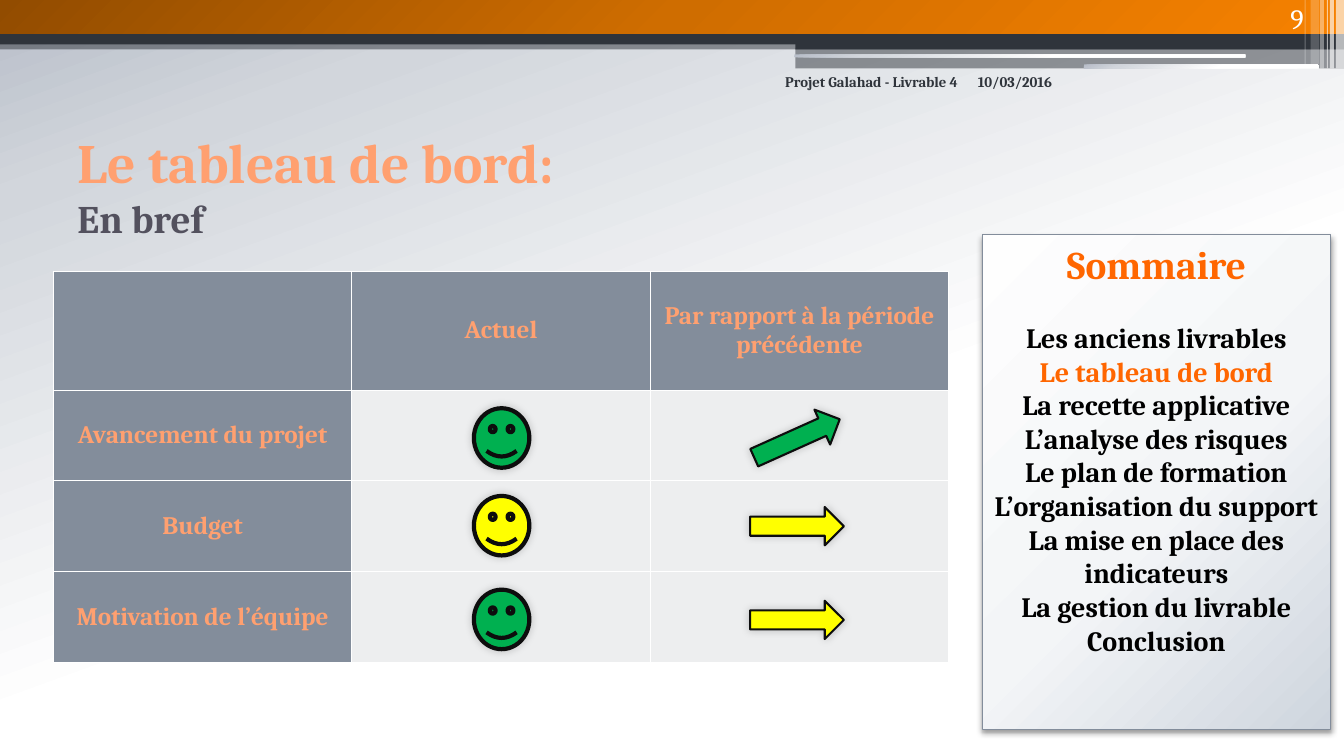
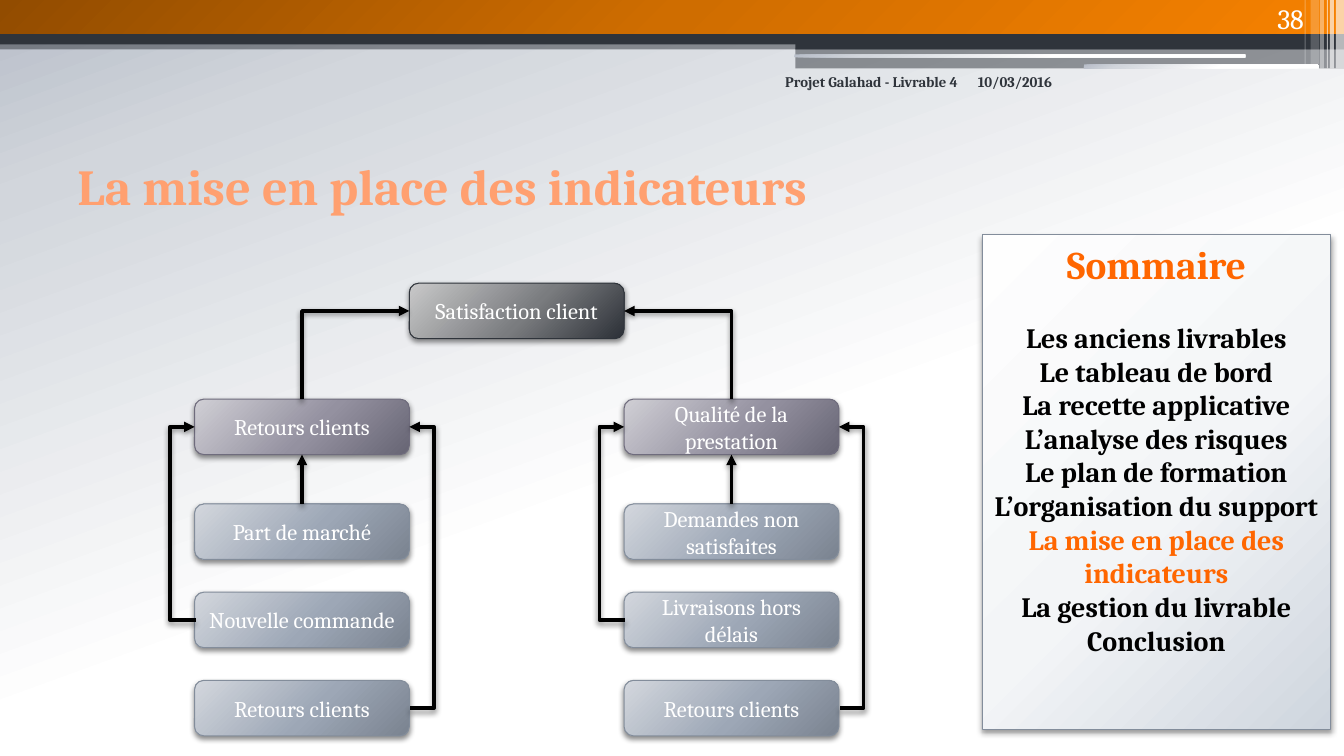
from pptx import Presentation
from pptx.dml.color import RGBColor
from pptx.enum.shapes import MSO_CONNECTOR, MSO_SHAPE
from pptx.enum.text import MSO_ANCHOR, PP_ALIGN
from pptx.oxml import parse_xml
from pptx.oxml.ns import nsdecls, qn
from pptx.util import Inches, Pt

FONT = "Cambria"
HEX = {
    "dark": "2F343B", "white": "FFFFFF", "black": "000000", "ink": "0D0D0D",
    "coral": "FFA070", "orange": "FF6600", "plum": "53515E",
    "slate": "838D9B", "mauve": "6F6C7D", "pale": "EDEEEF",
    "green": "00B050", "yellow": "FFFF00",
}
# Each gradient: stops as (percent, colour), then an angle or None for radial
GRADS = {
    "mist": ([(0, "B7BDC8"), (16, "D2D6DC"), (58, "FFFFFF")], 70),
    "amber": ([(0, "924C00"), (50, "CF6D00"), (100, "F68100")], 45),
    "panel": ([(0, "FEFEFE"), (55, "F3F5F7"), (100, "CED5DE")], None),
    "dark": ([(0, "C9C9CA"), (55, "7A7C7F"), (100, "2C3037")], None),
    "mauve": ([(0, "D0CFD5"), (55, "9491A0"), (100, "676574")], None),
    "slate": ([(0, "D3D7DD"), (55, "9DA7B6"), (100, "7A8390")], None),
}
# Each shadow: opacity, blur, distance, direction
SOFT, DEEP, GLOW = (40, 4.1, 2, 90), (45, 4, 2, 90), (20, 6, 0, 315)

# Each band: left, top, width, height, colour, opacity
BANDS = [
    (0, 0.4, 13.33, 0.09, "dark", 50),
    (0, 0.34, 13.33, 0.1, "dark", 100),
    (7.89, 0.39, 5.44, 0.1, "dark", 100),
    (7.89, 0.48, 5.44, 0.2, "dark", 50),
    (13.25, 0, 0.08, 0.68, "white", 65),
    (13.19, 0, 0.04, 0.68, "white", 65),
    (13.16, 0, 0.01, 0.68, "white", 60),
    (13.09, 0, 0.04, 0.68, "white", 40),
    (13, 0, 0.08, 0.64, "white", 20),
    (12.94, 0, 0.01, 0.64, "white", 30),
]
SHEEN = [
    (0, 0, 13.33, 0.34, MSO_SHAPE.RECTANGLE, "amber"),
    (7.88, 0.54, 4.47, 0.03, MSO_SHAPE.ROUNDED_RECTANGLE, "mist"),
    (10.75, 0.64, 2.33, 0.04, MSO_SHAPE.ROUNDED_RECTANGLE, "mist"),
]

PROJECT, DATE = "Projet Galahad - Livrable 4", "10/03/2016"
TOPICS = [
    "Les anciens livrables", "Le tableau de bord", "La recette applicative",
    "L’analyse des risques", "Le plan de formation",
    "L’organisation du support", "La mise en place des indicateurs",
    "La gestion du livrable", "Conclusion",
]

HEADS = ["", "Actuel", "Par rapport à la période précédente"]
# Each row: label, top of face, face colour, arrow colour, arrow rotation
STATUS = [
    ("Avancement du projet", 4.05, "green", "green", -24.2),
    ("Budget", 4.92, "yellow", "yellow", 0),
    ("Motivation de l’équipe", 5.85, "green", "yellow", 0),
]

GOAL = "Satisfaction client"
BRANCHES = [
    ("Retours clients",
     ["Part de marché", "Nouvelle commande", "Retours clients"]),
    ("Qualité de la prestation",
     ["Demandes non satisfaites", "Livraisons hors délais",
      "Retours clients"]),
]
TOP, LEFT, BOTTOM, RIGHT = range(4)  # connection sites of a box


def rgb(name):
    return RGBColor.from_string(HEX[name])


def write(frame, lines, size=16, color="white", bold=False,
          align=PP_ALIGN.LEFT, anchor=MSO_ANCHOR.TOP):
    """Fill a frame; a line is a string or (string, own format)."""
    frame.word_wrap = True
    frame.vertical_anchor = anchor
    for i, line in enumerate(lines):
        text, own = (line, {}) if isinstance(line, str) else line
        para = frame.paragraphs[0] if i == 0 else frame.add_paragraph()
        para.alignment = align
        if "before" in own:
            para.space_before = Pt(own["before"])
        run = para.add_run()
        run.text = text
        font = run.font
        font.name, font.bold = FONT, bold
        font.size = Pt(own.get("size", size))
        font.color.rgb = rgb(own.get("color", color))


def label(slide, box, lines, **fmt):
    area = slide.shapes.add_textbox(*map(Inches, box))
    write(area.text_frame, lines, **fmt)


def blend(fill, root, name):
    """Give a fill, held somewhere under root, a named gradient."""
    stops, angle = GRADS[name]
    fill.solid()
    fill.fore_color.rgb = rgb("white")
    marks = "".join(
        f'<a:gs pos="{pos * 1000}"><a:srgbClr val="{color}"/></a:gs>'
        for pos, color in stops)
    if angle is None:
        way = ('<a:path path="circle"><a:fillToRect l="-40000" t="-90000" '
               'r="140000" b="190000"/></a:path>')
    else:
        way = f'<a:lin ang="{angle * 60000}" scaled="0"/>'
    old = next(root.iter(qn("a:solidFill")))
    old.getparent().replace(old, parse_xml(
        f'<a:gradFill {nsdecls("a")} rotWithShape="1">'
        f'<a:gsLst>{marks}</a:gsLst>{way}</a:gradFill>'))


def shade(shape, alpha, blur, dist, turn):
    """Replace the theme shadow by one of our own."""
    props = shape.element.spPr
    for old in props.findall(qn("a:effectLst")):
        props.remove(old)
    props.append(parse_xml(
        f'<a:effectLst {nsdecls("a")}><a:outerShdw blurRad="{Pt(blur)}" '
        f'dist="{Pt(dist)}" dir="{turn * 60000}" algn="ctr" '
        f'rotWithShape="0"><a:srgbClr val="{HEX["black"]}">'
        f'<a:alpha val="{alpha * 1000}"/></a:srgbClr></a:outerShdw>'
        f'</a:effectLst>'))


def draw(slide, kind, box, fill=None, grad=None, alpha=100,
         line=None, width=0.75, shadow=None):
    shape = slide.shapes.add_shape(kind, *map(Inches, box))
    shape.shadow.inherit = False
    if grad:
        blend(shape.fill, shape.element.spPr, grad)
    else:
        shape.fill.solid()
        shape.fill.fore_color.rgb = rgb(fill)
    if alpha < 100:
        tint = next(shape.element.spPr.iter(qn("a:srgbClr")))
        tint.append(parse_xml(
            f'<a:alpha {nsdecls("a")} val="{alpha * 1000}"/>'))
    if line:
        shape.line.color.rgb = rgb(line)
        shape.line.width = Pt(width)
    else:
        shape.line.fill.background()
    if shadow:
        shade(shape, *shadow)
    return shape


def link(slide, kind, head, start, child, end):
    """Join child to head, with the arrowhead at head."""
    wire = slide.shapes.add_connector(kind, 0, 0, 0, 0)
    wire.begin_connect(head, start)
    wire.end_connect(child, end)
    wire.line.color.rgb = rgb("black")
    wire.line.width = Pt(2.5)
    wire.element.spPr.find(qn("a:ln")).append(
        parse_xml(f'<a:headEnd {nsdecls("a")} type="triangle"/>'))
    shade(wire, *DEEP)
    return wire


def corner(slide, head, start, child):
    """One-bend link from the side of head to the top of child."""
    wire = link(slide, MSO_CONNECTOR.ELBOW, head, start, child, TOP)
    wire.element.spPr.find(qn("a:prstGeom")).set("prst", "bentConnector2")


def loop(slide, head, child, side):
    """Link that leaves and returns on the same side, 0.25 inch out."""
    wire = link(slide, MSO_CONNECTOR.ELBOW, head, side, child, side)
    wire.end_x = wire.begin_x + Inches(0.01)
    bend = 2500000 if side == RIGHT else -2500000
    guides = next(wire.element.spPr.iter(qn("a:avLst")))
    guides.append(parse_xml(
        f'<a:gd {nsdecls("a")} name="adj1" fmla="val {bend}"/>'))


def dress(deck, layout):
    """Put the background and the bands on the master and layout."""
    master = deck.slide_master
    blend(master.background.fill, next(master.element.iter(qn("p:bg"))),
          "mist")
    draft = deck.slides.add_slide(layout)
    bands = [draw(draft, MSO_SHAPE.RECTANGLE, box, fill=fill, alpha=alpha)
             for *box, fill, alpha in BANDS]
    sheen = [draw(draft, kind, box, grad=grad)
             for *box, kind, grad in SHEEN]
    order = bands[:1] + sheen[:1] + bands[1:4] + sheen[1:] + bands[4:]
    for shape in order:
        layout.shapes.element.append(shape.element)
    return draft


def frame(slide, title, number, topic):
    """Add title, header texts and the agenda with its current topic."""
    label(slide, (0.67, 1.25, 8.91, 1.17), title, size=36, color="coral",
          bold=True, anchor=MSO_ANCHOR.MIDDLE)
    small = {"size": 10.5, "color": "dark", "bold": True}
    label(slide, (9.6, 0.67, 1.4, 0.5), [DATE], **small)
    label(slide, (7.67, 0.67, 1.93, 0.5), [PROJECT],
          align=PP_ALIGN.RIGHT, **small)
    label(slide, (11.92, 0, 1.11, 0.4), [number], size=20,
          align=PP_ALIGN.RIGHT, anchor=MSO_ANCHOR.BOTTOM)
    panel = draw(slide, MSO_SHAPE.RECTANGLE, (9.74, 2.33, 3.46, 4.91),
                 grad="panel", line="slate", shadow=SOFT)
    lines = [("Sommaire", {"size": 28, "color": "orange"})]
    for i, name in enumerate(TOPICS):
        own = {"color": "orange" if name == topic else "black"}
        if i == 0:
            own["before"] = 24
        lines.append((name, own))
    write(panel.text_frame, lines, size=20, bold=True,
          align=PP_ALIGN.CENTER)


def board(slide):
    frame(slide, [("Le tableau de bord:", {"size": 39.6}),
                  ("En bref", {"size": 27.9, "color": "plum"})],
          "9", TOPICS[1])
    rows = [HEADS] + [[row[0], "", ""] for row in STATUS]
    grid = slide.shapes.add_table(
        len(rows), len(HEADS), Inches(0.53), Inches(2.69),
        Inches(8.88), Inches(3.88)).table
    for i, row in enumerate(rows):
        grid.rows[i].height = Inches(0.9 if i else 1.18)
        for j, text in enumerate(row):
            cell = grid.cell(i, j)
            cell.fill.solid()
            cell.fill.fore_color.rgb = rgb("pale" if i and j else "slate")
            cell.vertical_anchor = MSO_ANCHOR.MIDDLE
            if text:
                write(cell.text_frame, [text], size=18, color="coral",
                      bold=True, align=PP_ALIGN.CENTER,
                      anchor=MSO_ANCHOR.MIDDLE)
    for _, top, face, trend, turn in STATUS:
        draw(slide, MSO_SHAPE.SMILEY_FACE, (4.7, top, 0.55, 0.59),
             fill=face, line="ink", width=3, shadow=GLOW)
        arrow = draw(slide, MSO_SHAPE.RIGHT_ARROW,
                     (7.44, top + 0.11, 0.93, 0.38),
                     fill=trend, line="ink", width=1.5, shadow=GLOW)
        arrow.rotation = turn


def node(slide, x, y, text, tone):
    box = draw(slide, MSO_SHAPE.ROUNDED_RECTANGLE, (x, y, 2.13, 0.55),
               grad=tone, line=tone, shadow=DEEP)
    write(box.text_frame, [text], align=PP_ALIGN.CENTER,
          anchor=MSO_ANCHOR.MIDDLE)
    return box


def tree(slide):
    frame(slide, [TOPICS[6]], "38", TOPICS[6])
    goal = node(slide, 4.06, 2.81, GOAL, "dark")
    for i, (name, parts) in enumerate(BRANCHES):
        x = 1.93 + 4.26 * i
        head = node(slide, x, 3.96, name, "mauve")
        near, mid, far = [node(slide, x, 5 + 0.875 * j, part, "slate")
                          for j, part in enumerate(parts)]
        corner(slide, goal, (LEFT, RIGHT)[i], head)
        link(slide, MSO_CONNECTOR.STRAIGHT, head, BOTTOM, near, TOP)
        loop(slide, head, mid, LEFT)
        loop(slide, head, far, RIGHT)


def main():
    deck = Presentation()
    deck.slide_width, deck.slide_height = Inches(13.33), Inches(7.5)
    blank = deck.slide_layouts[6]
    board(dress(deck, blank))
    tree(deck.slides.add_slide(blank))
    deck.save("out.pptx")


if __name__ == "__main__":
    main()
